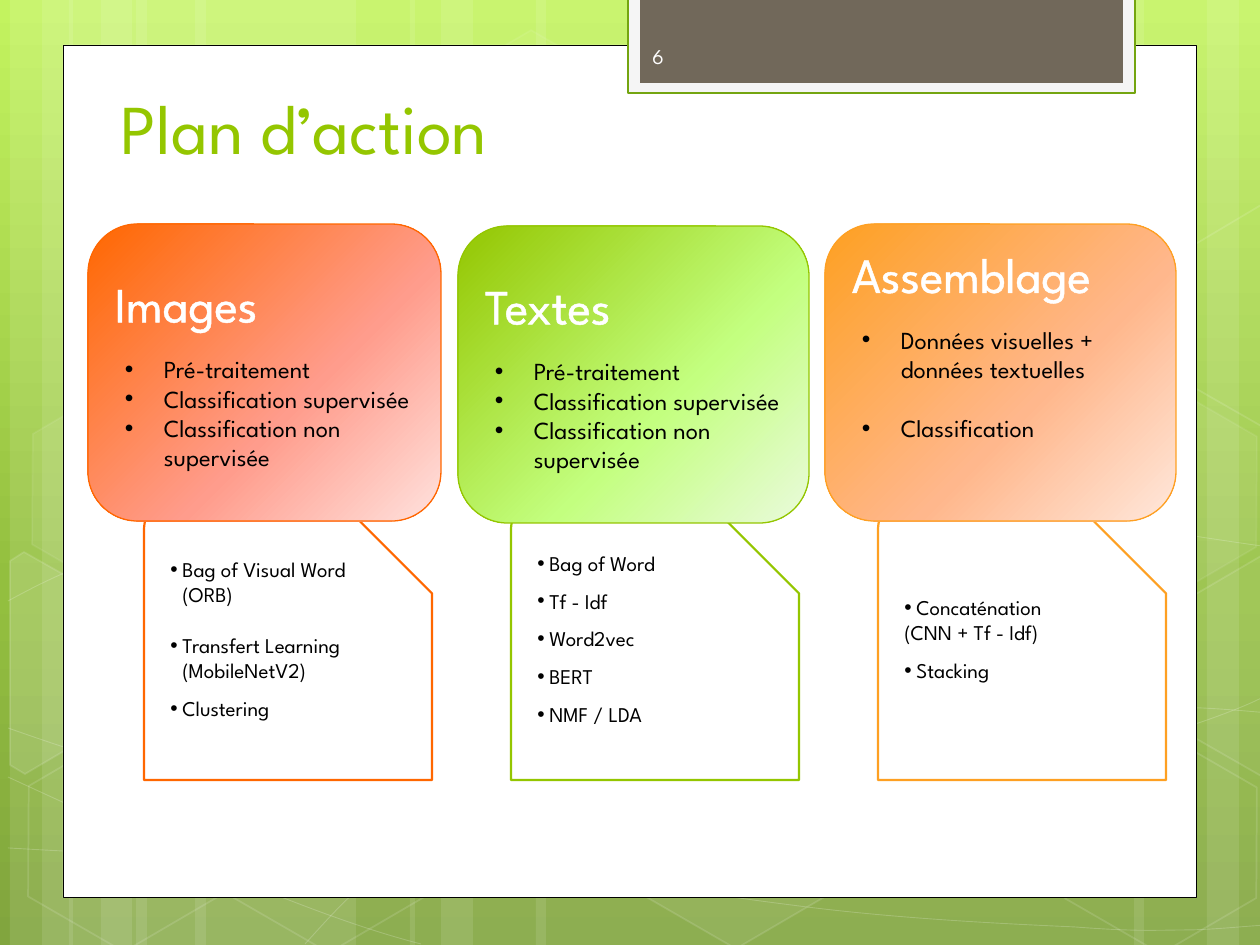
from lxml.etree import SubElement
from pptx import Presentation
from pptx.dml.color import RGBColor
from pptx.enum.shapes import MSO_SHAPE
from pptx.enum.text import MSO_ANCHOR, PP_ALIGN
from pptx.oxml.ns import qn
from pptx.util import Pt

UNIT = 914400 / 126
FONT = "League Spartan"
HUES = {
    "white": "FFFFFF", "black": "000000", "pale": "F5F5F5", "brown": "71685A",
    "snow": "FEFEFE", "moss": "74A510", "green": "94C600", "red": "FF6700", "gold": "FEA022",
}
FADES = {
    "back": [(0, "C3F35F"), (62, "93BF3F"), (100, "81A53E")],
    "red": [(0, "FF6700"), (60, "FF9C8C"), (100, "FFE2DE")],
    "green": [(0, "94C600"), (60, "C3FF7F"), (100, "EAFADC")],
    "gold": [(0, "FEA022"), (60, "FFB78C"), (100, "FFE8DC")],
}
BANDS = [
    (136, 220), (10, 63), (42, 105), (195, 220), (69, 63), (101, 105),
    (924, 220), (1207, 63), (1134, 105), (536, 388), (410, 63), (441, 105),
]
WAVES = [
    [(8, 848), (77, 852), (145, 856), (239, 854), (334, 853), (451, 851), (577, 838),
     (703, 825), (882, 802), (998, 777), (1113, 753), (1231, 716), (1269, 694)],
    [(8, 601), (45, 581), (82, 562), (152, 543), (224, 524), (326, 496), (437, 488),
     (549, 479), (685, 478), (824, 488), (963, 498), (1193, 537), (1269, 547)],
    [(8, 777), (160, 847), (311, 916), (421, 944)],
    [(8, 728), (48, 742), (88, 756), (161, 776), (234, 795), (344, 827), (450, 848),
     (554, 869), (687, 892), (791, 905), (896, 919), (1008, 924), (1075, 927),
     (1140, 932), (1158, 930), (1191, 930), (1223, 929), (1246, 926), (1269, 925)],
    [(305, 944), (328, 919), (350, 893), (381, 871), (411, 848), (454, 823), (489, 805),
     (524, 788), (546, 780), (592, 767), (638, 755), (722, 737), (766, 728),
     (811, 719), (818, 719), (857, 717), (896, 713), (958, 709), (1000, 708),
     (1045, 707), (1116, 708), (1116, 708), (1145, 708), (1173, 708), (1201, 708),
     (1223, 709), (1245, 711), (1268, 713)],
]
HEXES = [
    (421, 45, 4, 8), (626, 742, 6, 12), (14, 745, 0, 12), (18, 393, 7, 8),
    (219, 746, 0, 12), (1051, 747, 0, 12), (1051, 396, 7, 8),
]
CHIPS = [
    ([(10, 561), (24, 552), (121, 607), (120, 718), (25, 774), (10, 765)], 10),
    ([(1167, 611), (1261, 556), (1271, 562), (1271, 772), (1263, 777), (1167, 722)], 4),
    ([(1167, 261), (1261, 205), (1273, 212), (1271, 422), (1263, 427), (1167, 372)], 0),
]
TASKS = [("Pré-traitement", 12.6), ("Classification supervisée", 0),
         ("Classification non supervisée", 0)]
PLANS = [
    ("Images", "red", (88, 224, 353, 297), 144, TASKS, 6,
     [("Bag of Visual Word (ORB)", 0, True), ("Transfert Learning (MobileNetV2)", 14.4, True),
      ("Clustering", 7.2, True)]),
    ("Textes", "green", (458, 226, 351, 297), 511, TASKS, 6,
     [("Bag of Word", 0, True), ("Tf - Idf", 7.2, True), ("Word2vec", 7.2, True),
      ("BERT", 7.2, True), ("NMF / LDA", 7.2, True)]),
    ("Assemblage", "gold", (825, 224, 351, 297), 878,
     [("Données visuelles + données textuelles", 12.6), ("Classification", 16.8)], 65,
     [("Concaténation", 0, True), ("(CNN + Tf - Idf)", 0, False), ("Stacking", 7.2, True)]),
]


def px(num):
    """Turn pixels into EMU."""
    return round(num * UNIT)


def fade(fill, root, stops, angle):
    """Give a fill a linear gradient with any number of stops."""
    fill.gradient()
    fill.gradient_angle = angle
    ramp = next(root.iter(qn("a:gsLst")))
    for old in list(ramp):
        ramp.remove(old)
    for pos, hue in stops:
        stop = SubElement(ramp, qn("a:gs"), pos=str(pos * 1000))
        SubElement(stop, qn("a:srgbClr"), val=hue)


def tint(fill, hue, alpha=100):
    """Set a solid colour, see-through below 100 percent."""
    fill.solid()
    fill.fore_color.rgb = RGBColor.from_string(HUES[hue])
    if alpha < 100:
        node = fill._xPr.find(qn("a:solidFill"))[0]
        SubElement(node, qn("a:alpha"), val=str(alpha * 1000))


def style(shape, fill=None, line=None, width=1, alpha=100, haze=100):
    """Set the fill and line of a shape and drop its shadow."""
    shape.shadow.inherit = False
    if fill and alpha:
        tint(shape.fill, fill, alpha)
    else:
        shape.fill.background()
    if line:
        tint(shape.line.fill, line, haze)
        shape.line.width = Pt(width)
    else:
        shape.line.fill.background()
    return shape


def block(slide, kind, box, adj=(), **look):
    """Add a preset shape."""
    shape = slide.shapes.add_shape(kind, *map(px, box))
    for spot, num in enumerate(adj):
        shape.adjustments[spot] = num
    return style(shape, **look)


def trace(slide, dots, close, **look):
    """Add a freeform through a list of points."""
    pen = slide.shapes.build_freeform(*dots[0], scale=UNIT)
    pen.add_line_segments(dots[1:], close=close)
    return style(pen.convert_to_shape(), **look)


def bend(shape):
    """Turn each three lines of a freeform into one cubic curve."""
    track = next(shape.element.iter(qn("a:path")))
    lines = track.findall(qn("a:lnTo"))
    for spot in range(0, len(lines), 3):
        curve = SubElement(track, qn("a:cubicBezTo"))
        for line in lines[spot:spot + 3]:
            curve.append(line[0])
            track.remove(line)


def write(frame, text, size=12, hue="black", gap=0, left=0, hang=0, dot=False, edge=0):
    """Add one formatted paragraph to a text frame."""
    para = frame.paragraphs[0]
    if para.runs:
        para = frame.add_paragraph()
    para.alignment = PP_ALIGN.LEFT
    para.space_before = Pt(gap)
    run = para.add_run()
    run.text = text
    run.font.size = Pt(size)
    run.font.name = FONT
    run.font.color.rgb = RGBColor.from_string(HUES[hue])
    if edge:
        props = run.font._element
        rim = SubElement(props, qn("a:ln"), w=str(Pt(edge)))
        paint = SubElement(rim, qn("a:solidFill"))
        SubElement(paint, qn("a:srgbClr"), val=HUES[hue])
        props.insert(0, rim)
    if dot:
        props = para._p.get_or_add_pPr()
        props.set("marL", str(px(left)))
        props.set("indent", str(px(-hang)))
        SubElement(props, qn("a:buFont"), typeface="Arial")
        SubElement(props, qn("a:buChar"), char="•")


def scene(slide):
    """Draw the backdrop and the white page with its tab."""
    fade(slide.background.fill, slide.element, FADES["back"], 270)
    for x, wide in BANDS:
        block(slide, MSO_SHAPE.RECTANGLE, (x, 0, wide, 945), fill="white", alpha=10)
    for wave in WAVES:
        bend(trace(slide, wave, False, line="white", width=0.5, haze=20))
    for x, y, alpha, haze in HEXES:
        cell = block(slide, MSO_SHAPE.HEXAGON, (x, y, 220, 192), (0.285, 1.155),
                     fill="white", alpha=alpha, line="white", haze=haze)
        cell.rotation = 30
    for dots, alpha in CHIPS:
        trace(slide, dots, True, fill="white", alpha=alpha, line="white", haze=12)
    block(slide, MSO_SHAPE.RECTANGLE, (63, 45, 1134, 853), fill="white", line="black", width=0.5)
    block(slide, MSO_SHAPE.RECTANGLE, (628, -3, 507, 96), fill="pale", line="moss", width=1.25)
    block(slide, MSO_SHAPE.RECTANGLE, (640, -3, 483, 86), fill="brown")


def head(slide):
    """Place the title and the page number above the page."""
    title = slide.shapes.title
    title.element.getparent().append(title.element)
    title.left, title.top, title.width, title.height = map(px, (108, 18, 968, 157))
    title.text_frame.vertical_anchor = MSO_ANCHOR.BOTTOM
    write(title.text_frame, "Plan d’action", size=40, hue="green")
    frame = slide.shapes.add_textbox(*map(px, (640, 31, 184, 50))).text_frame
    frame.word_wrap = True
    frame.vertical_anchor = MSO_ANCHOR.MIDDLE
    write(frame, "6", hue="snow")


def plan(slide, name, hue, box, x, tasks, foot, tools):
    """Draw one column: a snipped panel of tools under a card of tasks."""
    panel = block(slide, MSO_SHAPE.SNIP_ROUND_RECTANGLE, (x, 483, 288, 297), (0.167, 0.383),
                  fill="white", line=hue, width=1.25)
    panel.text_frame.vertical_anchor = MSO_ANCHOR.MIDDLE
    for text, gap, dot in tools:
        write(panel.text_frame, text, gap=gap, left=12, hang=12, dot=dot)
    card = block(slide, MSO_SHAPE.ROUNDED_RECTANGLE, box, line=hue, width=0.75)
    fade(card.fill, card.element, FADES[hue], 315)
    card.text_frame.vertical_anchor = MSO_ANCHOR.MIDDLE
    card.text_frame.margin_bottom = px(foot)
    write(card.text_frame, name, size=28, hue="white", edge=1.45)
    for text, gap in tasks:
        write(card.text_frame, text, size=14, gap=gap, left=49, hang=39, dot=True)


def main():
    """Build and save the slide."""
    deck = Presentation()
    deck.slide_width, deck.slide_height = px(1260), px(945)
    slide = deck.slides.add_slide(deck.slide_layouts[5])
    scene(slide)
    head(slide)
    for column in PLANS:
        plan(slide, *column)
    deck.save("out.pptx")


if __name__ == "__main__":
    main()
